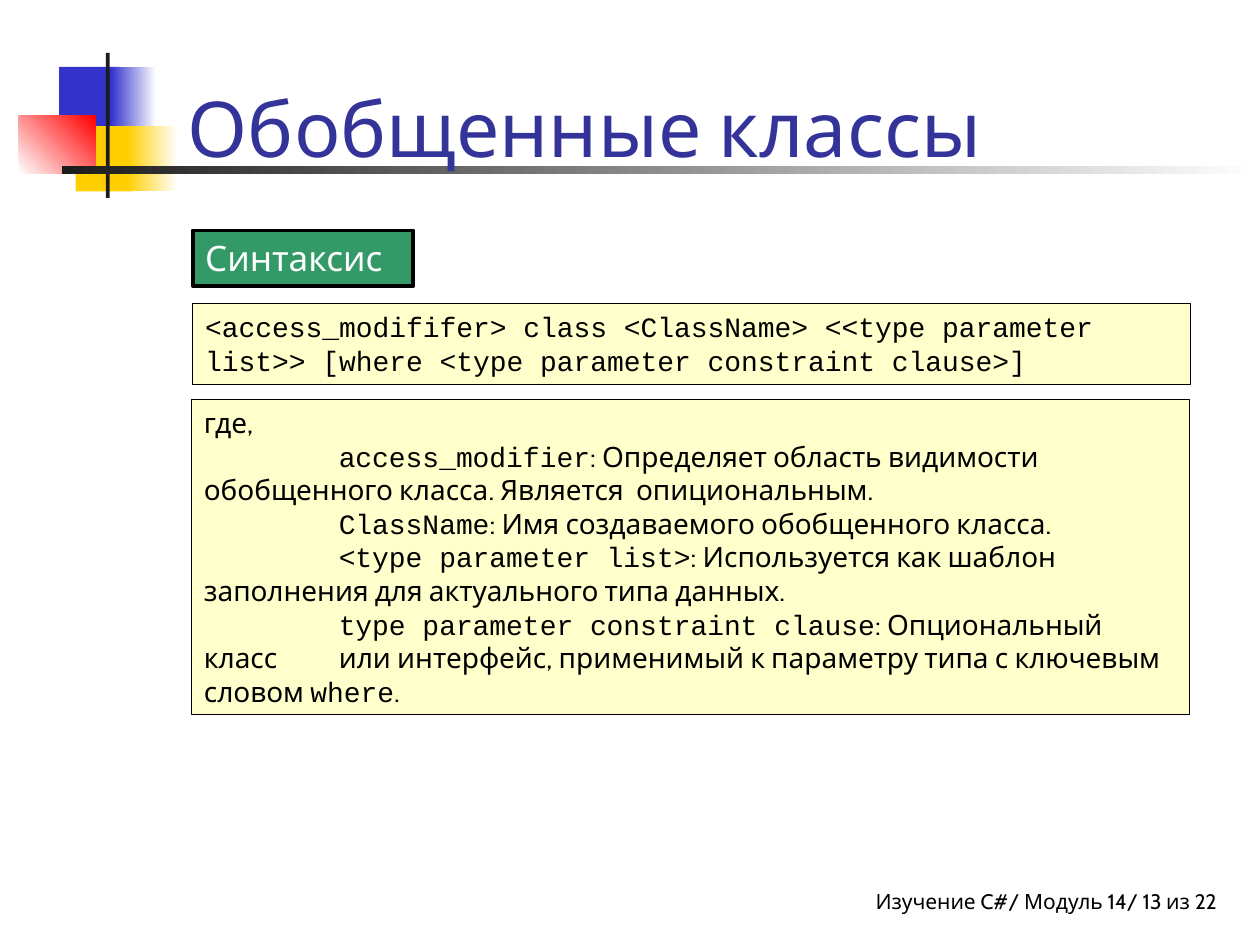
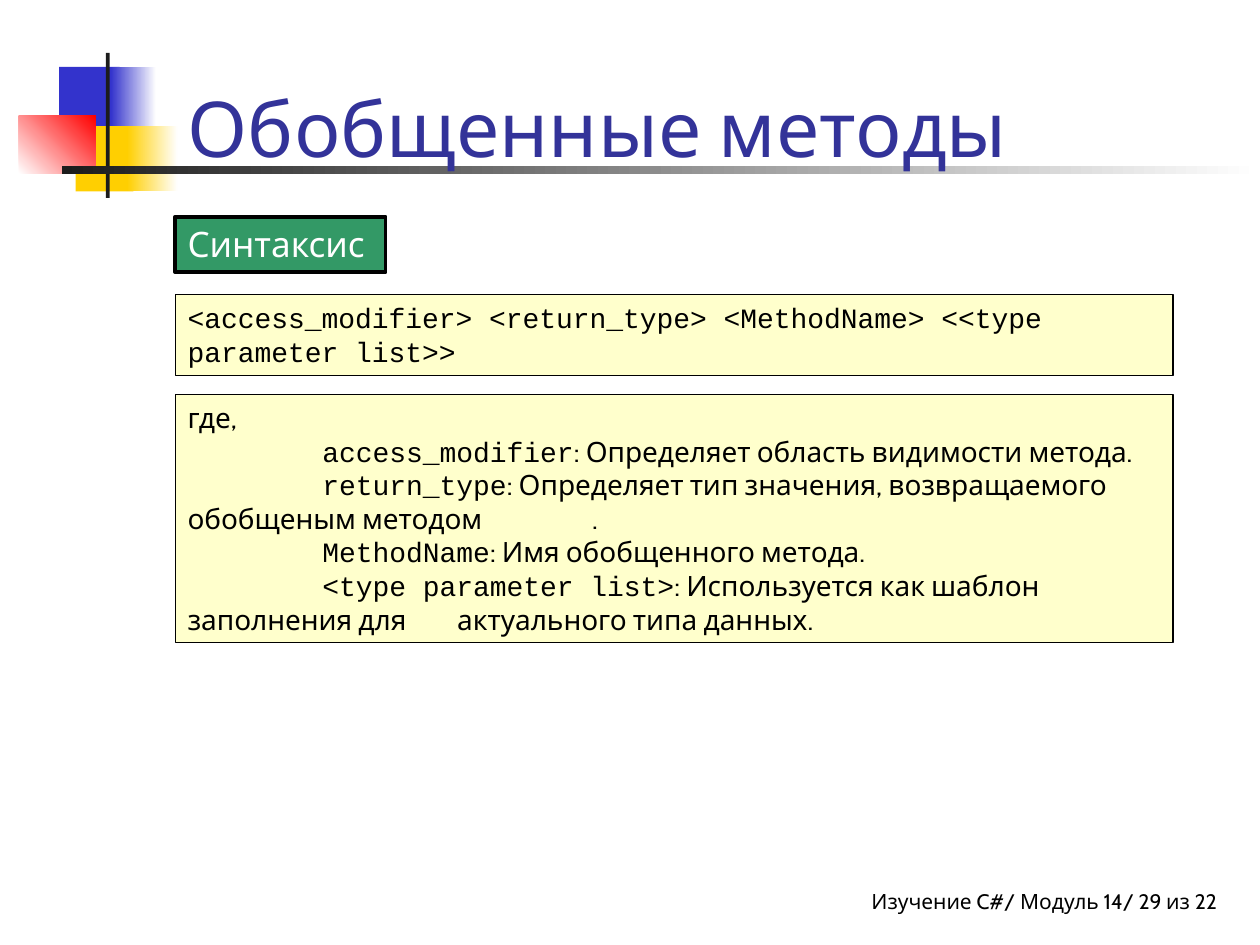
from dataclasses import dataclass

from pptx import Presentation
from pptx.dml.color import RGBColor as Rgb
from pptx.enum.shapes import MSO_SHAPE as Shape
from pptx.enum.text import MSO_ANCHOR as Anchor, MSO_AUTO_SIZE as Auto, PP_ALIGN as Align
from pptx.oxml.ns import qn
from pptx.util import Inches, Pt
from lxml.etree import SubElement


@dataclass(frozen=True)
class Theme:
    sans: str = "Cabin"
    mono: str = "Courier New"
    head: str = "333399"
    blue: str = "3333CC"
    gold: str = "FFCF01"
    red: str = "FF0000"
    dark: str = "1C1C1C"
    green: str = "339966"
    cream: str = "FFFFCC"
    black: str = "000000"
    white: str = "FFFFFF"
    title: int = 44
    label: int = 20
    body: int = 16
    foot: int = 12


T = Theme()
TAB = 1.07   # tab step in the cream boxes
PAD = {"margin_left": Inches(0.1), "margin_right": Inches(0.1),
       "margin_top": Inches(0.05), "margin_bottom": Inches(0.05),
       "word_wrap": True, "auto_size": Auto.NONE, "vertical_anchor": Anchor.TOP}

# Motif blocks: box, start colour, end colour (None is solid), angle
MOTIF = [
    ((0.47, 0.53, 0.48, 0.52), T.blue, None, 0),
    ((0.88, 0.53, 0.36, 0.52), T.blue, T.white, 0),
    ((0.6, 1, 0.46, 0.52), T.gold, None, 0),
    ((1.01, 1, 0.4, 0.52), T.gold, T.white, 0),
    ((0.15, 0.92, 0.61, 0.46), T.white, T.red, 45),
    ((0.84, 0.42, 0.03, 1.15), T.dark, None, 0),
    ((0.49, 1.32, 9.51, 0.06), T.dark, T.white, 0),
]

# Backticks enclose code words
PAGES = [
    {"title": "Обобщенные классы", "page": 13,
     "label": (1.53, 1.83, 1.75, 0.44),
     "syntax": (1.53, 2.41, 7.92, 0.64),
     "terms": (1.52, 3.17, 7.92, 2.5),
     "code": "`<access_modififer> class <ClassName> <<type parameter list>> "
             "[where <type parameter constraint clause>]`",
     "notes": [
         "где,",
         "\t`access_modifier`: Определяет область видимости \tобобщенного класса. "
         "Является  опициональным.",
         "\t`ClassName`: Имя создаваемого обобщенного класса.",
         "\t`<type parameter list>`: Используется как шаблон \tзаполнения для "
         "актуального типа данных.",
         "\t`type parameter constraint clause`: Опциональный класс \tили интерфейс, "
         "применимый к параметру типа с ключевым \tсловом `where`."]},
    {"title": "Обобщенные методы", "page": 29,
     "label": (1.39, 1.72, 1.67, 0.44),
     "syntax": (1.39, 2.34, 7.92, 0.64),
     "terms": (1.39, 3.13, 7.92, 1.97),
     "code": "`<access_modifier> <return_type> <MethodName> <<type parameter list>>`",
     "notes": [
         "где,",
         "\t`access_modifier`: Определяет область видимости метода.",
         "\t`return_type`: Определяет тип значения, возвращаемого \tобобщеным "
         "методом \t.",
         "\t`MethodName`: Имя обобщенного метода.",
         "\t`<type parameter list>`: Используется как шаблон \tзаполнения для "
         "\tактуального типа данных."]},
]


def inches(box):
    return [Inches(v) for v in box]


def set_all(item, values):
    for name, value in values.items():
        setattr(item, name, value)


def set_tabs(para, step):
    stops = SubElement(para._p.get_or_add_pPr(), qn("a:tabLst"))
    for i in range(8):
        SubElement(stops, qn("a:tab"), pos=str(Inches(i * step)), algn="l")


def write(frame, lines, size, color, align=Align.LEFT, step=None, **extra):
    """Fill a text frame; parts between backticks take the code font."""
    set_all(frame, {**PAD, **extra})
    for i, line in enumerate(lines):
        para = frame.add_paragraph() if i else frame.paragraphs[0]
        para.alignment = align
        if step:
            set_tabs(para, step)
        for j, part in enumerate(line.split("`")):
            if part:
                run = para.add_run()
                run.text = part
                set_all(run.font, {"name": T.mono if j % 2 else T.sans,
                                   "size": Pt(size)})
                run.font.color.rgb = Rgb.from_string(color)


def add_rect(slide, box, color):
    rect = slide.shapes.add_shape(Shape.RECTANGLE, *inches(box))
    rect.shadow.inherit = False
    rect.fill.solid()
    rect.fill.fore_color.rgb = Rgb.from_string(color)
    rect.line.fill.background()
    return rect


def add_panel(slide, box, lines, fill, size, color, weight, step=None):
    rect = add_rect(slide, box, fill)
    rect.line.color.rgb = Rgb.from_string(T.black)
    rect.line.width = Pt(weight)
    write(rect.text_frame, lines, size, color, step=step)


def add_motif(slide):
    for box, start, end, angle in MOTIF:
        rect = add_rect(slide, box, start)
        if end:
            rect.fill.gradient()
            rect.fill.gradient_angle = angle
            for stop, color in zip(rect.fill.gradient_stops, (start, end)):
                stop.color.rgb = Rgb.from_string(color)


def add_title(slide, box, text):
    title = slide.shapes.title
    set_all(title, dict(zip(("left", "top", "width", "height"), inches(box))))
    write(title.text_frame, [text], T.title, T.head, vertical_anchor=Anchor.BOTTOM)
    slide.shapes._spTree.append(title._element)   # in front of the motif


def add_footer(slide, box, page):
    foot = slide.shapes.add_textbox(*inches(box))
    write(foot.text_frame, [f"Изучение C#/ Модуль 14/ {page} из 22"],
          T.foot, T.black, Align.RIGHT, margin_right=0)


def add_page(deck, data):
    slide = deck.slides.add_slide(deck.slide_layouts[5])
    # Shared frame
    add_footer(slide, (4.58, 7, 5.08, 0.33), data["page"])
    add_motif(slide)
    add_title(slide, (1.39, 0.17, 8.52, 1.25), data["title"])
    # Syntax label, rule and terms
    add_panel(slide, data["label"], ["Синтаксис"], T.green, T.label, T.white, 2.25)
    for box, lines in (("syntax", [data["code"]]), ("terms", data["notes"])):
        add_panel(slide, data[box], lines, T.cream, T.body, T.black, 0.75, TAB)


def main():
    deck = Presentation()
    set_all(deck, {"slide_width": Inches(10), "slide_height": Inches(7.5)})
    for data in PAGES:
        add_page(deck, data)
    deck.save("out.pptx")


if __name__ == "__main__":
    main()
